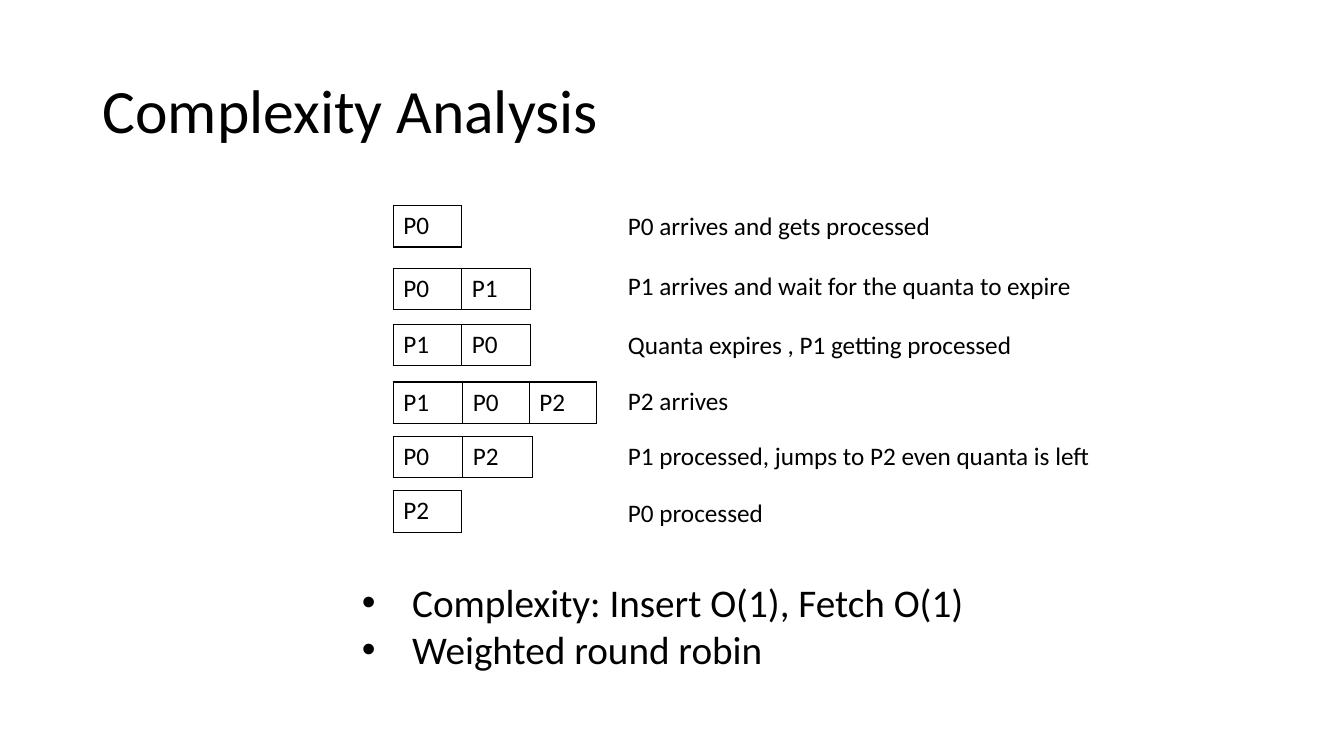
from lxml import etree
from pptx import Presentation
from pptx import util as u
from pptx.dml.color import RGBColor
from pptx.enum import text
from pptx.oxml.ns import qn


def rgb(value):
    return RGBColor.from_string(value)


def write(tf, lines, size=18, font="Calibri", color="000000", spacing=None, bullet=None):
    """Fill a text frame with one paragraph per line."""
    for i, line in enumerate(lines):
        p = tf.paragraphs[0] if i == 0 else tf.add_paragraph()
        p.line_spacing = spacing
        r = p.add_run()
        r.text = line
        r.font.size = u.Pt(size)
        r.font.name = font
        r.font.color.rgb = rgb(color)
        if bullet:
            pPr = p._p.get_or_add_pPr()
            pPr.set("marL", str(u.Inches(0.5)))
            pPr.set("indent", str(-u.Inches(0.5)))
            etree.SubElement(pPr, qn("a:buFont"), typeface="Arial")
            etree.SubElement(pPr, qn("a:buChar"), char=bullet)


class Deck:
    ink = "000000"
    border = u.Pt(1)

    def __init__(self, width, height):
        self.prs = Presentation()
        self.prs.slide_width, self.prs.slide_height = u.Inches(width), u.Inches(height)
        self.s = self.prs.slides.add_slide(self.prs.slide_layouts[6])

    def text(self, box, lines, wrap=False, middle=False, **fmt):
        sp = self.s.shapes.add_textbox(*map(u.Inches, box))
        tf = sp.text_frame
        tf.word_wrap = wrap
        if not wrap:
            tf.auto_size = text.MSO_AUTO_SIZE.SHAPE_TO_FIT_TEXT
        if middle:
            tf.vertical_anchor = text.MSO_ANCHOR.MIDDLE
        write(tf, lines, color=self.ink, **fmt)

    def queue(self, left, top, widths, height, names):
        """Draw a one-row table with a process in each cell."""
        frame = self.s.shapes.add_table(1, len(names), u.Inches(left), u.Inches(top),
                                        u.Inches(sum(widths)), u.Inches(height))
        table = frame.table
        table.first_row = table.horz_banding = False
        for i, (name, width) in enumerate(zip(names, widths)):
            table.columns[i].width = u.Inches(width)
            cell = table.cell(0, i)
            write(cell.text_frame, [name], color=self.ink)
            self.outline(cell)
            cell.fill.background()

    def outline(self, cell):
        tcPr = cell._tc.get_or_add_tcPr()
        for side in ("lnL", "lnR", "lnT", "lnB"):
            ln = etree.SubElement(tcPr, qn("a:" + side), w=str(self.border))
            fill = etree.SubElement(ln, qn("a:solidFill"))
            etree.SubElement(fill, qn("a:srgbClr"), val=self.ink)


# Queue top, column widths, processes, caption top, caption width, caption
STEPS = [
    (2.04, [0.68], ["P0"], 2.04, 3.23, "P0 arrives and gets processed"),
    (2.66, [0.68, 0.68], ["P0", "P1"], 2.63, 4.64,
     "P1 arrives and wait for the quanta to expire"),
    (3.22, [0.68, 0.68], ["P1", "P0"], 3.22, 4.06, "Quanta expires , P1 getting processed"),
    (3.79, [0.69, 0.66, 0.67], ["P1", "P0", "P2"], 3.77, 1.21, "P2 arrives"),
    (4.33, [0.69, 0.69], ["P0", "P2"], 4.32, 4.84,
     "P1 processed, jumps to P2 even quanta is left"),
    (4.87, [0.68], ["P2"], 4.88, 1.56, "P0 processed"),
]


def main():
    deck = Deck(13.33, 7.5)

    # Title
    deck.text((0.92, 0.4, 11.5, 1.45), ["Complexity Analysis"],
              wrap=True, middle=True, size=44, spacing=0.9)

    # Queue states with their captions
    for top, widths, names, caption_top, caption_width, caption in STEPS:
        deck.queue(3.9, top, widths, 0.41, names)
        deck.text((6.13, caption_top, caption_width, 0.4), [caption])

    # Conclusions
    deck.text((3.49, 5.69, 6.23, 1.04),
              ["Complexity: Insert O(1), Fetch O(1)", "Weighted round robin"],
              size=28, bullet="•")

    deck.prs.save("out.pptx")


if __name__ == "__main__":
    main()
